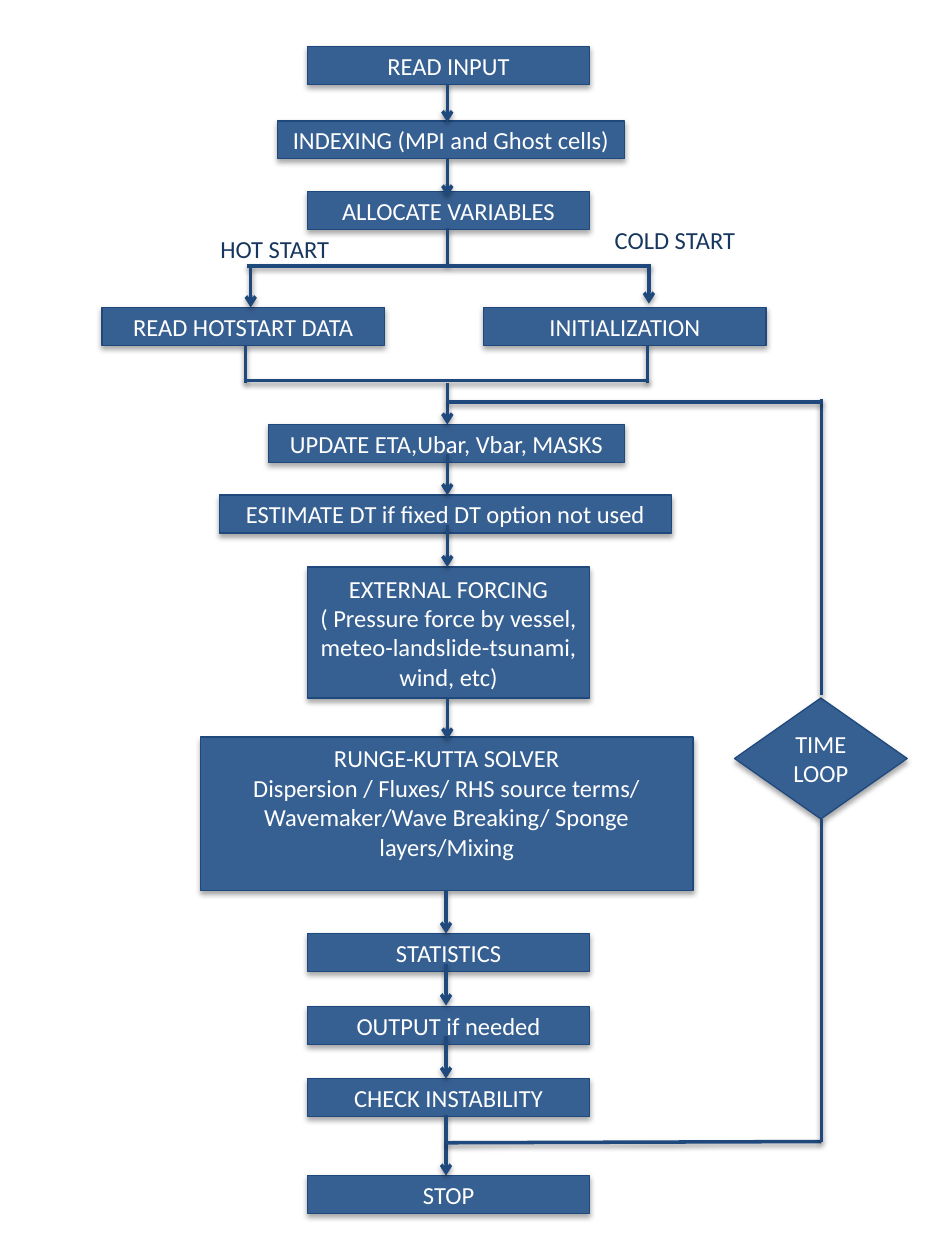
from lxml.etree import SubElement
from pptx import Presentation
from pptx.dml.color import RGBColor
from pptx.enum.shapes import MSO_CONNECTOR, MSO_SHAPE
from pptx.enum.text import MSO_ANCHOR, MSO_AUTO_SIZE, PP_ALIGN
from pptx.oxml.ns import qn
from pptx.util import Emu, Pt

PX = 9144  # 100 px to the inch
BOX_FILL = RGBColor(0x37, 0x60, 0x92)
LINE_COLOR = RGBColor(0x1F, 0x49, 0x7D)
LABEL_COLOR = RGBColor(0x17, 0x37, 0x5E)
WHITE = RGBColor(0xFF, 0xFF, 0xFF)
FONT = "Calibri"
STEP_WIDTH, STEP_HEIGHT = 224, 30


def px(value):
    return Emu(value * PX)


def add_shadow(shape, distance, opacity):
    properties = shape._element.spPr
    effects = SubElement(properties, qn("a:effectLst"))
    shadow = SubElement(effects, qn("a:outerShdw"), blurRad=str(Pt(3.1)),
                        dist=str(Pt(distance)), dir="5400000", rotWithShape="0")
    color = SubElement(shadow, qn("a:srgbClr"), val="000000")
    SubElement(color, qn("a:alpha"), val=str(opacity * 1000))


def format_text(text_frame, color, alignment):
    for paragraph in text_frame.paragraphs:
        paragraph.alignment = alignment
        for run in paragraph.runs:
            run.font.name = FONT
            run.font.size = Pt(14)
            run.font.color.rgb = color


def add_step(slide, left, top, text, width=STEP_WIDTH, height=STEP_HEIGHT,
             kind=MSO_SHAPE.RECTANGLE, anchor=MSO_ANCHOR.MIDDLE):
    shape = slide.shapes.add_shape(kind, px(left), px(top), px(width), px(height))
    shape.fill.solid()
    shape.fill.fore_color.rgb = BOX_FILL
    shape.line.color.rgb = LINE_COLOR
    shape.line.width = Pt(0.75)
    add_shadow(shape, 1.8, 35)
    text_frame = shape.text_frame
    text_frame.text = text
    text_frame.word_wrap = True
    text_frame.vertical_anchor = anchor
    format_text(text_frame, WHITE, PP_ALIGN.CENTER)


def add_line(slide, x1, y1, x2, y2, arrow=False):
    connector = slide.shapes.add_connector(
        MSO_CONNECTOR.STRAIGHT, px(x1), px(y1), px(x2), px(y2))
    connector.line.color.rgb = LINE_COLOR
    connector.line.width = Pt(2)
    if arrow:
        SubElement(connector.line._get_or_add_ln(), qn("a:tailEnd"), type="arrow")
    add_shadow(connector, 1.6, 38)


def add_label(slide, left, top, width, text):
    box = slide.shapes.add_textbox(px(left), px(top), px(width), px(34))
    box.text_frame.text = text
    box.text_frame.word_wrap = False
    box.text_frame.auto_size = MSO_AUTO_SIZE.SHAPE_TO_FIT_TEXT
    format_text(box.text_frame, LABEL_COLOR, PP_ALIGN.LEFT)


def draw_setup(slide, left, top):
    """Reading input, indexing and allocation."""
    add_step(slide, left + 24, top, "READ INPUT")
    add_step(slide, left, top + 59, "INDEXING (MPI and Ghost cells)", 276)
    add_step(slide, left + 24, top + 115, "ALLOCATE VARIABLES")
    for start in (30, 89):
        add_line(slide, left + 135, top + start, left + 135, top + start + 30, True)


def draw_start_branch(slide, left, top):
    """Hot start and cold start, split and joined again."""
    middle = left + 274
    add_step(slide, left, top + 63, "READ HOTSTART DATA")
    add_step(slide, left + 303, top + 63, "INITIALIZATION")
    # Split
    add_line(slide, middle, top, middle, top + 30)
    add_line(slide, left + 115, top + 30, left + 436, top + 30)
    add_line(slide, left + 118, top + 30, left + 118, top + 63, True)
    add_line(slide, left + 434, top + 30, left + 434, top + 60, True)
    # Join
    for x in (114, 433):
        add_line(slide, left + x, top + 93, left + x, top + 123)
    add_line(slide, left + 113, top + 121, left + 434, top + 121)
    # Branch names
    add_label(slide, left + 84, top, 110, "HOT START")
    add_label(slide, left + 397, top - 7, 119, "COLD START")


def draw_solver(slide, left, top):
    """One time step, from the update to the solver."""
    add_step(slide, left + 54, top + 33, "UPDATE ETA,Ubar, Vbar, MASKS", 283)
    add_step(slide, left + 15, top + 89, "ESTIMATE DT if fixed DT option not used", 359)
    add_step(slide, left, top + 281,
             "RUNGE-KUTTA SOLVER\nDispersion / Fluxes/ RHS source terms/ "
             "Wavemaker/Wave Breaking/ Sponge layers/Mixing",
             391, 122, anchor=MSO_ANCHOR.TOP)
    add_step(slide, left + 85, top + 146,
             "EXTERNAL FORCING ( Pressure force by vessel, "
             "meteo-landslide-tsunami, wind, etc)", height=104)
    for start in (0, 56, 113, 250):
        add_line(slide, left + 196, top + start, left + 196, top + start + 33, True)


def draw_closing(slide, left, top):
    """Statistics, output, check and stop."""
    steps = ["STATISTICS", "OUTPUT if needed", "CHECK INSTABILITY"]
    for index, text in enumerate(steps):
        add_step(slide, left, top + 34 + round(57.5 * index), text)
    add_step(slide, left, top + 226, "STOP")
    for start, end in ((0, 34), (58, 91), (115, 149), (178, 226)):
        add_line(slide, left + 110, top + start, left + 110, top + end, True)


def draw_time_loop(slide, left, top):
    """Way back from the check to the update."""
    right = left + 298
    add_step(slide, left + 229, top + 237, "TIME LOOP", 137, 96, MSO_SHAPE.DIAMOND)
    add_line(slide, left, top + 590, right, top + 589)
    add_line(slide, right, top + 589, right, top + 333)
    add_line(slide, right, top + 235, right, top)
    add_line(slide, right, top + 2, left + 1, top + 2)


def main():
    presentation = Presentation()
    presentation.slide_width = px(750)
    presentation.slide_height = px(1000)
    slide = presentation.slides.add_slide(presentation.slide_layouts[6])
    draw_setup(slide, 220, 37)
    draw_start_branch(slide, 81, 181)
    draw_solver(slide, 159, 304)
    draw_closing(slide, 244, 707)
    draw_time_loop(slide, 354, 317)
    presentation.save("out.pptx")


if __name__ == "__main__":
    main()
